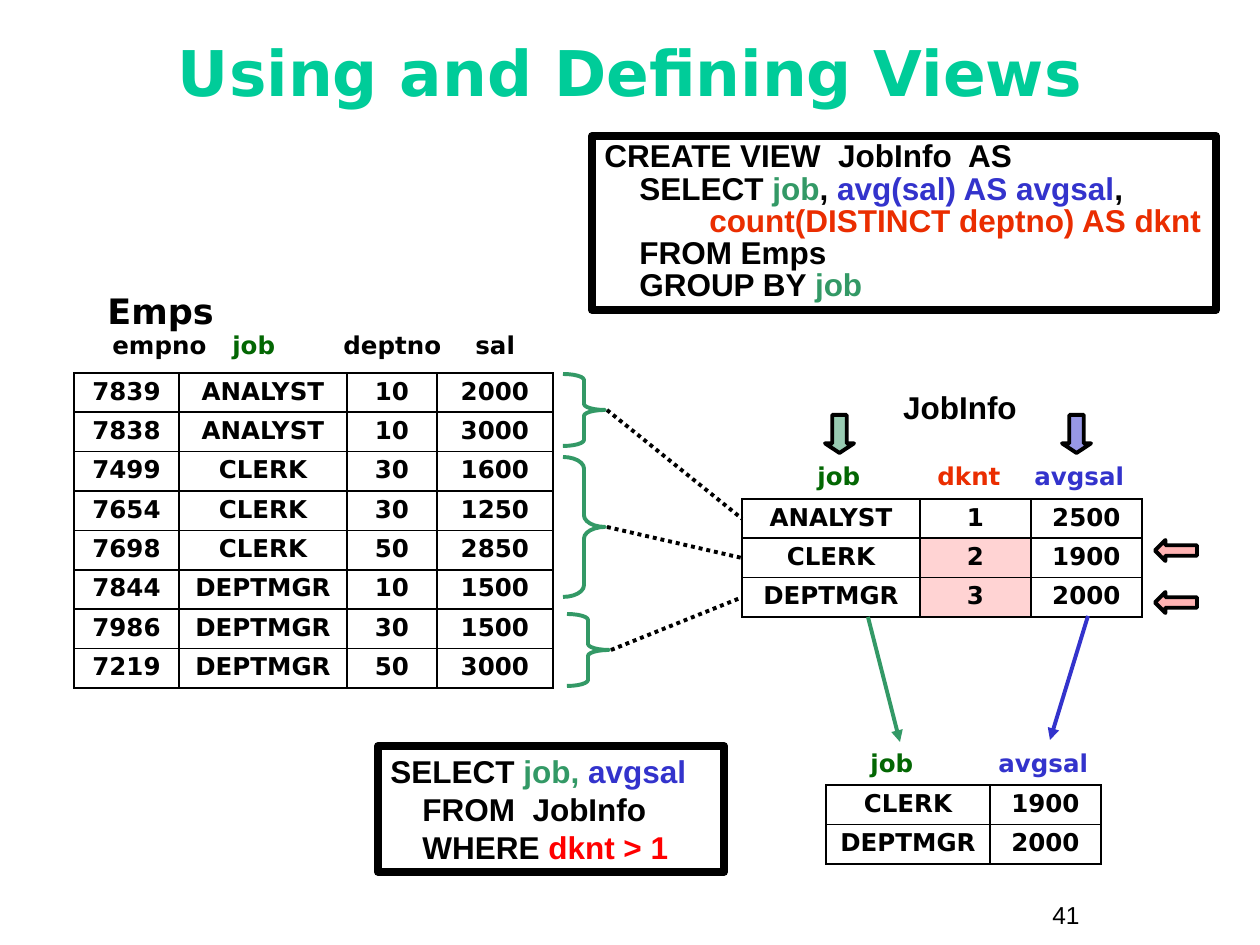
from pptx import Presentation
from pptx.dml.color import RGBColor
from pptx.enum.dml import MSO_LINE as Dash
from pptx.enum.shapes import MSO_CONNECTOR as Link, MSO_SHAPE as Shape
from pptx.enum.text import MSO_ANCHOR as Anchor, PP_ALIGN as Align
from pptx.oxml.ns import qn
from pptx.util import Pt
from lxml.etree import SubElement

PX = 914400 / 126
SANS, ARIAL = "DejaVu Sans", "Arial"
COLORS = {
    "title": "00CC99", "ink": "000000", "job": "036703", "sea": "339966",
    "avgsal": "3333CC", "dknt": "EA2D00", "condition": "FF0000",
    "pink cell": "FFD3D3", "pink arrow": "FFB3B3",
}


def emu(*lengths):
    return [round(length * PX) for length in lengths]


def rgb(name):
    return RGBColor.from_string(COLORS[name])


def write(frame, lines, size, font=SANS, bold=True, align=Align.LEFT,
          spacing=None, tabs=(), hanging=0):
    """Fill a frame with one paragraph; each line is a list of (text, color)."""
    para = frame.paragraphs[0]
    para.alignment = align
    if spacing:
        para.line_spacing = spacing
    props = para._p.get_or_add_pPr()
    if hanging:
        margin = str(emu(hanging)[0])
        props.set("marL", margin)
        props.set("indent", "-" + margin)
    if tabs:
        stops = SubElement(props, qn("a:tabLst"))
        for stop in tabs:
            SubElement(stops, qn("a:tab"), pos=str(emu(stop)[0]), algn="l")
    para.font.size, para.font.name, para.font.bold = Pt(size), font, bold
    for index, line in enumerate(lines):
        if index:
            para.add_line_break()
        for text, color in line:
            span = para.add_run()
            span.text = text
            span.font.color.rgb = rgb(color)


def label(page, box, spans, size, anchor=Anchor.TOP, **style):
    frame = page.shapes.add_textbox(*emu(*box)).text_frame
    frame.word_wrap = True
    frame.vertical_anchor = anchor
    write(frame, [spans], size, **style)


def preset(page, kind, box, line, width, fill=None):
    shape = page.shapes.add_shape(kind, *emu(*box))
    shape.shadow.inherit = False
    shape.line.color.rgb = rgb(line)
    shape.line.width = Pt(width)
    if fill:
        shape.fill.solid()
        shape.fill.fore_color.rgb = rgb(fill)
    else:
        shape.fill.background()
    return shape


def code_box(page, box, lines, wrap, **style):
    frame = preset(page, Shape.RECTANGLE, box, "ink", 4.5).text_frame
    frame.word_wrap = wrap
    frame.vertical_anchor = Anchor.TOP
    write(frame, lines, 18, font=ARIAL, **style)


def outline(cell):
    """Give a cell thin black borders, placed ahead of its fill."""
    props = cell._tc.get_or_add_tcPr()
    for index, side in enumerate(("a:lnL", "a:lnR", "a:lnT", "a:lnB")):
        border = SubElement(props, qn(side), w=str(Pt(1.08)))
        SubElement(SubElement(border, qn("a:solidFill")), qn("a:srgbClr"),
                   val=COLORS["ink"])
        props.insert(index, border)


def data_table(page, box, widths, rows, pink=()):
    left, top, height = box
    table = page.shapes.add_table(
        len(rows), len(widths), *emu(left, top, sum(widths), height)).table
    table.first_row = table.horz_banding = False
    for column, width in zip(table.columns, widths):
        column.width = emu(width)[0]
    for r, values in enumerate(rows):
        table.rows[r].height = emu(height / len(rows))[0]
        for c, value in enumerate(values.split()):
            cell = table.cell(r, c)
            if (r, c) in pink:
                cell.fill.solid()
                cell.fill.fore_color.rgb = rgb("pink cell")
            else:
                cell.fill.background()
            outline(cell)
            write(cell.text_frame, [[(value, "ink")]], 14,
                  align=Align.CENTER, spacing=0.9)


def connect(page, start, end, color, dotted=False):
    line = page.shapes.add_connector(Link.STRAIGHT, *emu(*start, *end))
    line.line.color.rgb = rgb(color)
    line.line.width = Pt(2.25)
    if dotted:
        line.line.dash_style = Dash.ROUND_DOT
    else:
        SubElement(line.line._get_or_add_ln(), qn("a:tailEnd"), type="triangle")
    SubElement(line._element.spPr, qn("a:effectLst"))


def emps_region(page, left, top):
    label(page, (left + 21, top - 90, 294, 55), [("Emps", "ink")], 20)
    label(page, (left + 26, top - 49, 441, 43),
          [("empno\t", "ink"), ("job", "job"), ("\tdeptno\tsal", "ink")], 14,
          tabs=(120, 231, 363))
    data_table(page, (left, top, 315), (105, 168, 90, 116), [
        "7839 ANALYST 10 2000", "7838 ANALYST 10 3000",
        "7499 CLERK 30 1600", "7654 CLERK 30 1250", "7698 CLERK 50 2850",
        "7844 DEPTMGR 10 1500", "7986 DEPTMGR 30 1500",
        "7219 DEPTMGR 50 3000"])


def job_info_region(page, left, top):
    data_table(page, (left, top, 118), (178, 111, 111),
               ["ANALYST 1 2500", "CLERK 2 1900", "DEPTMGR 3 2000"],
               pink=((1, 1), (2, 1)))
    label(page, (left + 63, top - 44, 359, 43),
          [("job", "job"), ("\tdknt", "dknt"), ("\tavgsal", "avgsal")], 14,
          tabs=(120, 217))
    label(page, (left + 87, top - 111, 262, 45), [("JobInfo", "ink")], 18,
          font=ARIAL, align=Align.CENTER, spacing=0.85)
    # Arrows at the selected rows
    for y in (41, 93):
        preset(page, Shape.LEFT_ARROW, (left + 413, top + y, 42, 21),
               "ink", 2.25, "pink arrow")
    # Half-transparent arrows at the selected columns
    for x, color in ((83, "sea"), (320, "avgsal")):
        arrow = preset(page, Shape.DOWN_ARROW, (left + x, top - 84, 29, 38),
                       "ink", 2.25, color)
        arrow.adjustments[1] = 0.33
        tint = arrow._element.spPr.find(qn("a:solidFill"))[0]
        SubElement(tint, qn("a:alpha"), val="50000")


def result_region(page, left, top):
    data_table(page, (left, top, 79), (164, 111),
               ["CLERK 1900", "DEPTMGR 2000"])
    label(page, (left + 32, top - 43, 273, 43),
          [("job", "job"), ("\tavgsal", "avgsal")], 14, tabs=(128,))


def grouping(page, braces, target_left, target_top, row_height):
    """Brace each group of rows and lead it to its row in the view."""
    for row, (left, top, height) in enumerate(braces):
        width = 42
        brace = preset(page, Shape.RIGHT_BRACE, (left, top, width, height),
                       "sea", 2.25)
        brace.adjustments[0] = height / 12 / width
        connect(page, (left + width + 2, top + height / 2),
                (target_left, target_top + row_height * (row + 0.5)),
                "ink", dotted=True)


def main():
    deck = Presentation()
    deck.slide_width, deck.slide_height = emu(1260, 945)
    page = deck.slides.add_slide(deck.slide_layouts[6])

    # Title and page number
    label(page, (42, 13, 1176, 116), [("Using and Defining Views", "title")],
          36, anchor=Anchor.MIDDLE, align=Align.CENTER)
    label(page, (1040, 894, 116, 43), [("41", "ink")], 14, font=ARIAL,
          bold=False)

    # Tables and the links between them
    emps_region(page, 74, 373)
    job_info_region(page, 742, 499)
    result_region(page, 826, 785)
    grouping(page, ((563, 374, 72), (563, 457, 140), (567, 614, 72)),
             742, 499, 118 / 3)
    connect(page, (868, 617), (900, 742), "sea")
    connect(page, (1088, 616), (1050, 740), "avgsal")

    # View definition and the query that uses it
    code_box(page, (592, 136, 624, 174), [
        [("CREATE VIEW  JobInfo  AS", "ink")],
        [("    SELECT ", "ink"), ("job", "sea"), (", ", "ink"),
         ("avg(sal) AS avgsal", "avgsal"), (",", "ink")],
        [("            count(DISTINCT deptno) AS dknt", "dknt")],
        [("    FROM Emps", "ink")],
        [("    GROUP BY ", "ink"), ("job", "sea")],
    ], wrap=False, spacing=0.85)
    code_box(page, (378, 746, 346, 126), [
        [("SELECT ", "ink"), ("job, ", "sea"), ("avgsal", "avgsal")],
        [("FROM  JobInfo", "ink")],
        [("WHERE ", "ink"), ("dknt > 1", "condition")],
    ], wrap=True, hanging=32)

    deck.save("out.pptx")


if __name__ == "__main__":
    main()
